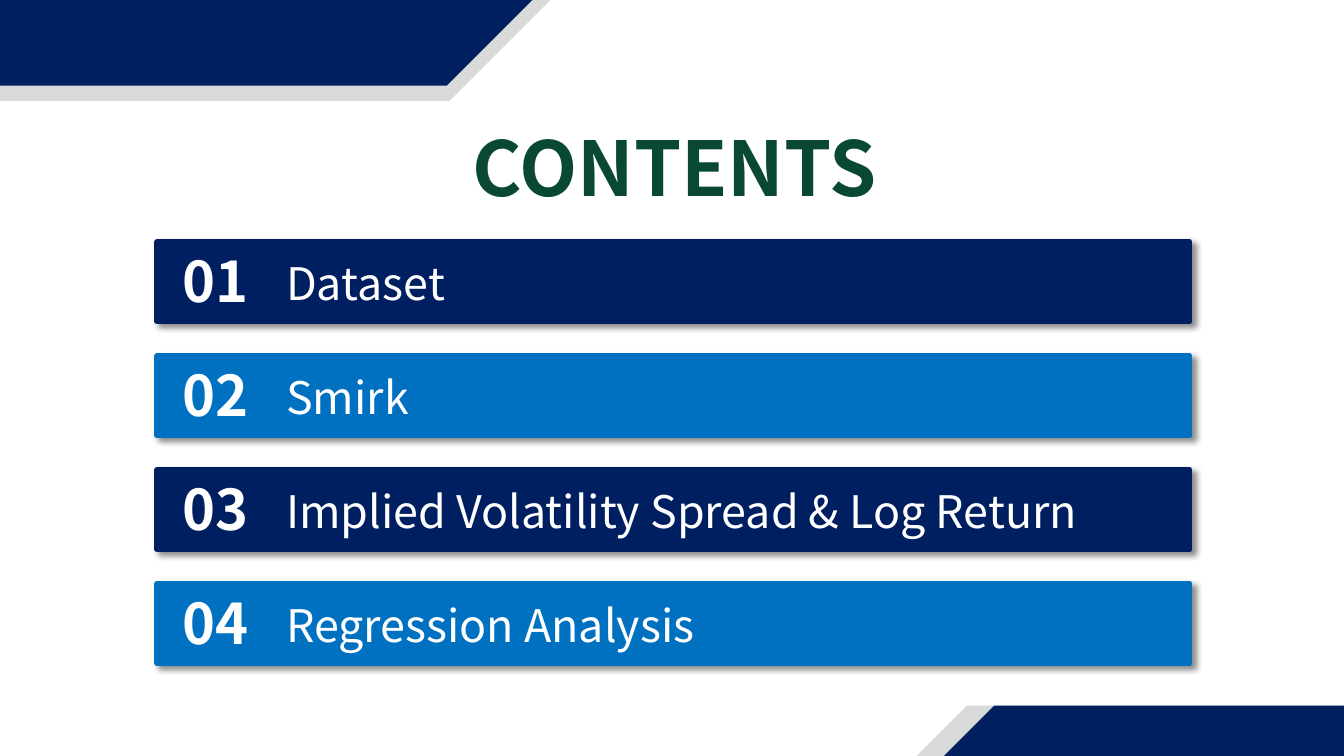
from dataclasses import dataclass

from lxml import etree
from pptx import Presentation
from pptx import util as u
from pptx.dml.color import RGBColor
from pptx.enum import shapes, text
from pptx.oxml.ns import qn


@dataclass(frozen=True)
class Theme:
    font: str = "Noto Sans CJK SC"
    navy: str = "002060"
    bar_navy: str = "001F60"
    blue: str = "0070C0"
    grey: str = "D9D9D9"
    green: str = "084835"
    white: str = "FFFFFF"
    title_size: int = 54
    number_size: int = 40
    topic_size: int = 32


theme = Theme()
TOPICS = ["Dataset", "Smirk", "Implied Volatility Spread & Log Return", "Regression Analysis"]
BAR_LEFT, BAR_TOP, BAR_WIDTH, BAR_HEIGHT, ROW_STEP = 1.56, 2.4, 10.24, 0.79, 1.13
NUMBER_LEFT, NUMBER_WIDTH, TOPIC_WIDTH = 1.53, 1.21, 9
CORNERS = [
    (-1.93, -0.02, theme.grey),
    (-1.96, -0.17, theme.navy),
    (8.57, 7, theme.grey),
    (8.84, 7, theme.navy),
]


def add_block(kind, left, top, width, height, color):
    """Add a flat filled preset shape without a line or a shadow."""
    shape = slide.shapes.add_shape(kind, u.Inches(left), u.Inches(top), u.Inches(width), u.Inches(height))
    shape.shadow.inherit = False
    shape.fill.solid()
    shape.fill.fore_color.rgb = RGBColor.from_string(color)
    shape.line.fill.background()
    return shape


def write_line(shape, words, size, color, bold, align):
    """Fill a shape with one line of text, set from its top edge."""
    frame = shape.text_frame
    frame.word_wrap = True
    frame.auto_size = text.MSO_AUTO_SIZE.SHAPE_TO_FIT_TEXT
    frame.vertical_anchor = text.MSO_ANCHOR.TOP
    frame.text = words
    paragraph = frame.paragraphs[0]
    paragraph.alignment = align
    paragraph.font.name = theme.font
    paragraph.font.size = u.Pt(size)
    paragraph.font.bold = bold
    paragraph.font.color.rgb = RGBColor.from_string(color)


presentation = Presentation()
presentation.slide_width = u.Inches(13.33)
presentation.slide_height = u.Inches(7.5)
slide = presentation.slides.add_slide(presentation.slide_layouts.get_by_name("Title Only"))

for left, top, color in CORNERS:
    corner = add_block(shapes.MSO_SHAPE.PARALLELOGRAM, left, top, 7.41, 1.02, color)
    corner.adjustments[0] = 1

title = slide.shapes.title
title.left, title.top, title.width, title.height = map(u.Inches, (4.07, 1.15, 5.24, 1.01))
write_line(title, "CONTENTS", theme.title_size, theme.green, True, text.PP_ALIGN.CENTER)

for row, topic in enumerate(TOPICS):
    top = BAR_TOP + row * ROW_STEP
    color = (theme.bar_navy, theme.blue)[row % 2]
    bar = add_block(shapes.MSO_SHAPE.RECTANGLE, BAR_LEFT, top, BAR_WIDTH, BAR_HEIGHT, color)
    bar.line.color.rgb = RGBColor.from_string(color)
    bar.line.width = u.Pt(4)
    effects = bar._element.spPr.find(qn("a:effectLst"))
    shadow = etree.SubElement(
        effects, qn("a:outerShdw"), blurRad=str(u.Pt(4)), dist=str(u.Pt(3)),
        dir=str(45 * 60000), algn="tl", rotWithShape="0",
    )
    shade = etree.SubElement(shadow, qn("a:srgbClr"), val="000000")
    etree.SubElement(shade, qn("a:alpha"), val="44000")

    number = slide.shapes.add_textbox(
        u.Inches(NUMBER_LEFT), u.Inches(top), u.Inches(NUMBER_WIDTH), u.Inches(0.77))
    write_line(number, f"{row + 1:02}", theme.number_size, theme.white, True, text.PP_ALIGN.CENTER)

    label = slide.shapes.add_textbox(
        u.Inches(NUMBER_LEFT + NUMBER_WIDTH), u.Inches(top + 0.09), u.Inches(TOPIC_WIDTH), u.Inches(0.64))
    write_line(label, topic, theme.topic_size, theme.white, False, text.PP_ALIGN.LEFT)

presentation.save("out.pptx")
